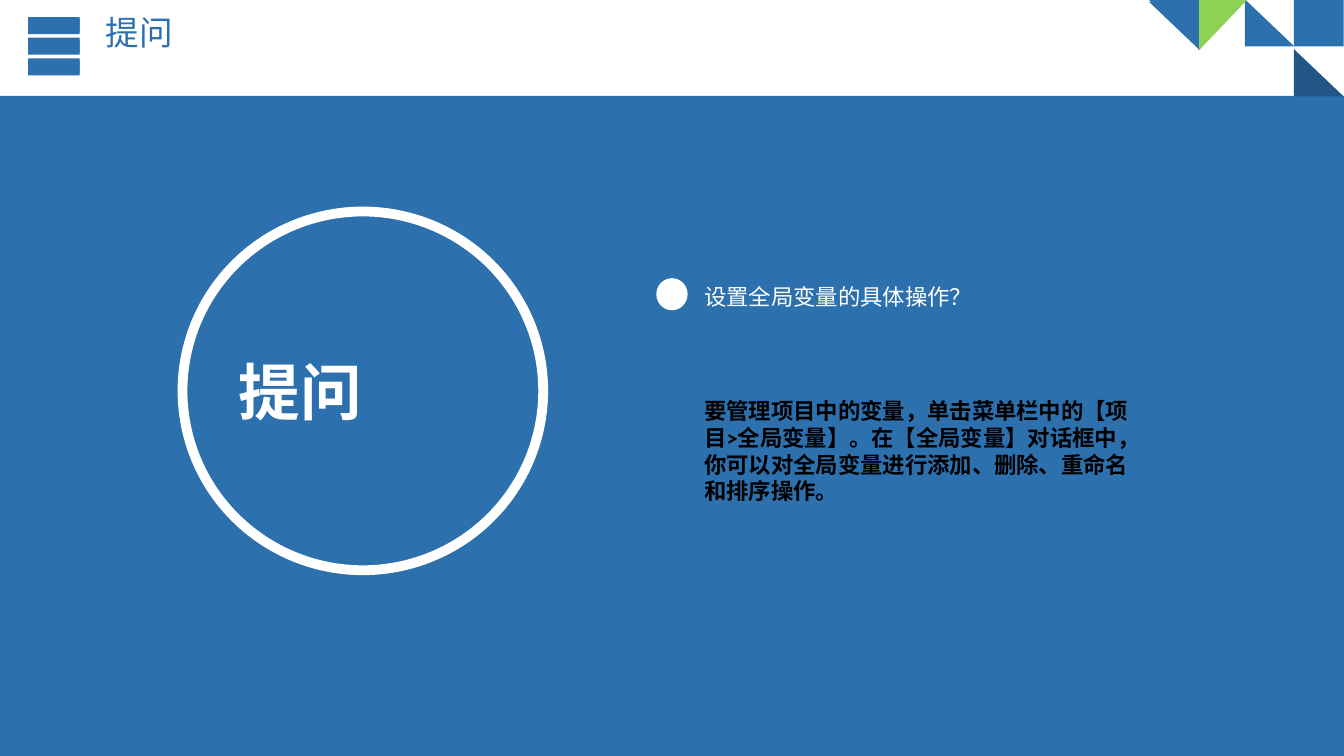
from pptx import Presentation
from pptx.dml.color import RGBColor
from pptx.enum import shapes, text
from pptx.util import Cm, Pt

COLOURS = {"blue": "2C70AE", "navy": "225686", "green": "8FD152",
           "white": "FFFFFF", "black": "000000"}
CJK_SC = "Noto Sans CJK SC"
CJK_JP = "Noto Sans CJK JP"
LATIN = "Calibri"

RECT = shapes.MSO_SHAPE.RECTANGLE
TRIANGLE = shapes.MSO_SHAPE.RIGHT_TRIANGLE
OVAL = shapes.MSO_SHAPE.OVAL


def colour(name):
    return RGBColor.from_string(COLOURS[name])


def add_figure(slide, kind, box, fill=None, line=None, line_width=1, rotation=0):
    figure = slide.shapes.add_shape(kind, *map(Cm, box))
    figure.shadow.inherit = False
    figure.rotation = rotation
    if fill:
        figure.fill.solid()
        figure.fill.fore_color.rgb = colour(fill)
    else:
        figure.fill.background()
    if line:
        figure.line.color.rgb = colour(line)
        figure.line.width = Pt(line_width)
    else:
        figure.line.fill.background()


def write(holder, box, words, size, ink, latin, east_asian, bold=False,
          wrap=True, align=text.PP_ALIGN.LEFT):
    """Place a title or text box and fill it with one formatted run."""
    holder.left, holder.top, holder.width, holder.height = map(Cm, box)
    frame = holder.text_frame
    frame.word_wrap = wrap
    frame.auto_size = text.MSO_AUTO_SIZE.SHAPE_TO_FIT_TEXT
    frame.vertical_anchor = text.MSO_ANCHOR.TOP
    paragraph = frame.paragraphs[0]
    paragraph.alignment = align
    run = paragraph.add_run()
    run.text = words
    run.font.size = Pt(size)
    run.font.bold = bold
    run.font.color.rgb = colour(ink)
    run.font.name = latin
    properties = run.font._element
    ea = properties.makeelement(
        "{http://schemas.openxmlformats.org/drawingml/2006/main}ea",
        {"typeface": east_asian})
    properties.find("{*}latin").addnext(ea)


def add_text(slide, box, *args, **kwargs):
    write(slide.shapes.add_textbox(*map(Cm, box)), box, *args, **kwargs)


def add_corner_mosaic(slide):
    side, height = 1.25, 1.19
    add_figure(slide, TRIANGLE, (32.61, 1.24, side, height), "navy")
    add_figure(slide, RECT, (32.61, 0, side, 1.17), "blue")
    add_figure(slide, TRIANGLE, (31.37, -0.02, side, height), "blue")
    add_figure(slide, TRIANGLE, (30.18, 0.03, side, height), "green",
               line="green", rotation=90)
    for top in (0, 0.05):
        add_figure(slide, TRIANGLE, (28.96, top, side, height), "blue", rotation=180)


def add_menu_icon(slide):
    """Three bars, each thickened by a second one slightly lower."""
    for offset in (0, 0.05):
        for bar in range(3):
            add_figure(slide, RECT, (0.71, 0.43 + offset + bar * 0.52, 1.3, 0.38), "blue")


def main():
    deck = Presentation()
    deck.slide_width, deck.slide_height = Cm(33.87), Cm(19.05)
    slide = deck.slides.add_slide(deck.slide_layouts[5])

    add_figure(slide, RECT, (0, 2.42, 33.87, 16.63), "blue")
    add_corner_mosaic(slide)
    add_menu_icon(slide)
    write(slide.shapes.title, (2.41, 0.18, 2.21, 1.27), "提问", 24, "blue",
          CJK_JP, CJK_JP, wrap=False)

    add_figure(slide, OVAL, (4.6, 5.33, 9.09, 9.04), line="white", line_width=7)
    add_text(slide, (5.77, 8.79, 3.63, 2.13), "提问", 44, "white",
             LATIN, CJK_SC, bold=True, wrap=False)

    add_figure(slide, OVAL, (16.54, 7.01, 0.79, 0.81), "white")
    add_text(slide, (17.5, 7.01, 11.48, 0.94), "设置全局变量的具体操作？", 16, "white",
             CJK_SC, CJK_SC, align=text.PP_ALIGN.JUSTIFY)
    add_text(slide, (17.5, 9.88, 11.48, 3),
             "要管理项目中的变量，单击菜单栏中的【项目>全局变量】。在【全局变量】对话框中，"
             "你可以对全局变量进行添加、删除、重命名和排序操作。",
             16, "black", LATIN, CJK_SC, bold=True)

    deck.save("out.pptx")


if __name__ == "__main__":
    main()
